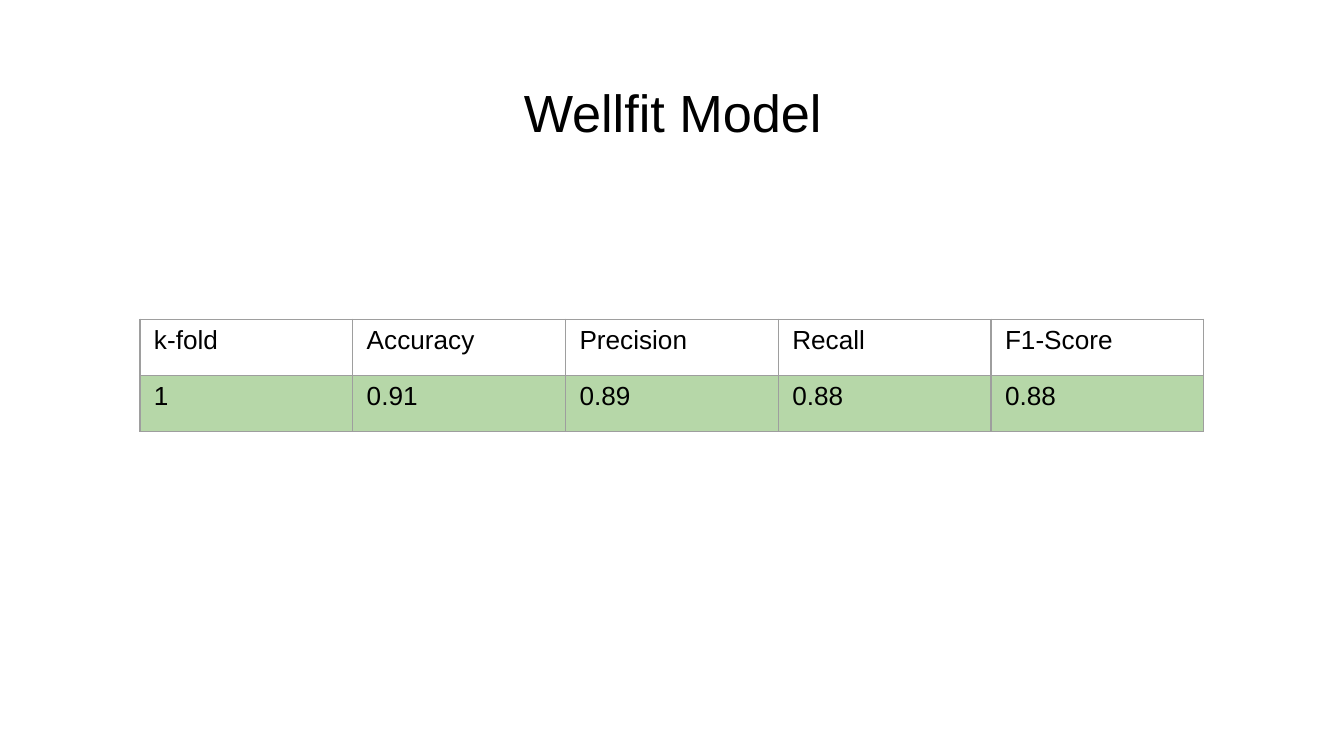
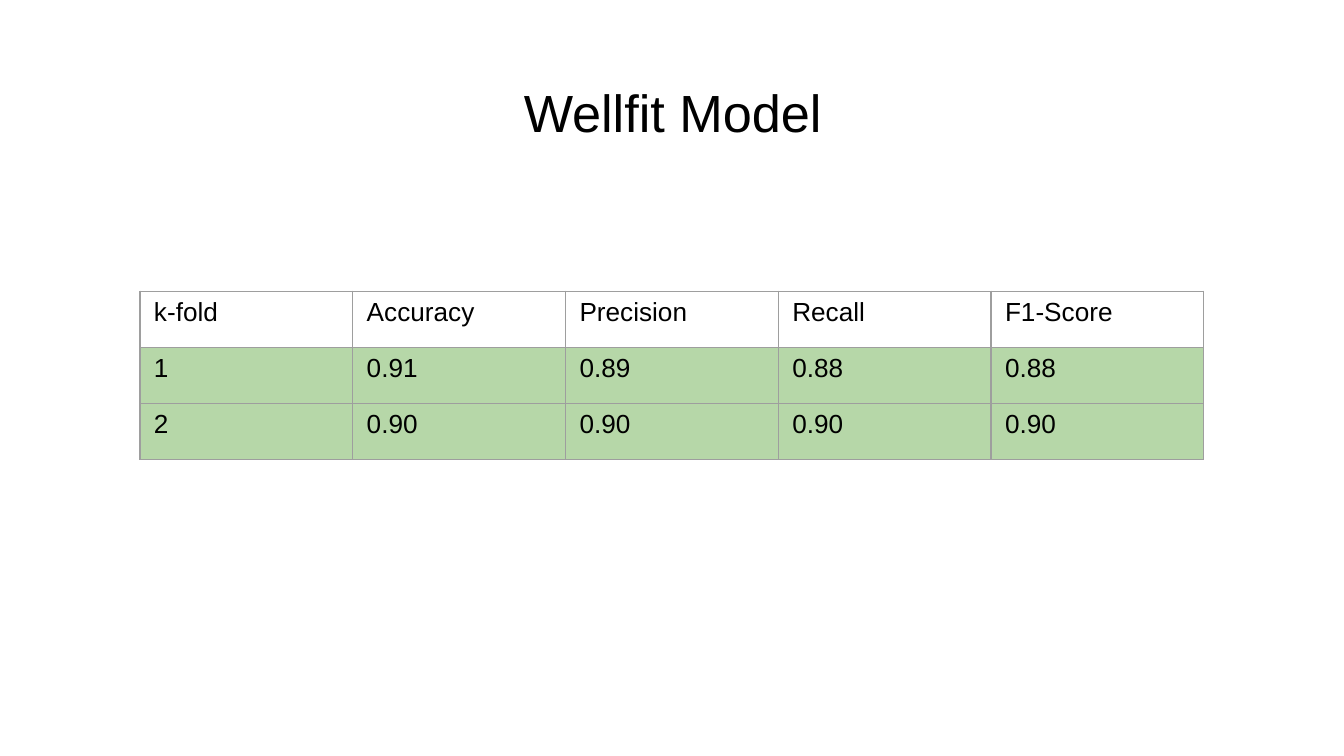
from dataclasses import dataclass

from lxml import etree
from pptx import Presentation
from pptx.dml.color import RGBColor
from pptx.enum.text import MSO_ANCHOR, MSO_AUTO_SIZE, PP_ALIGN
from pptx.oxml.ns import qn
from pptx.util import Pt

LEFT, CENTER = PP_ALIGN.LEFT, PP_ALIGN.CENTER
TOP = MSO_ANCHOR.TOP
NO_AUTOFIT = MSO_AUTO_SIZE.NONE
TITLE_ONLY = 5
PX = 9525  # EMU per px, 96 px to the inch


@dataclass(frozen=True)
class Theme:
    font: str = "Arial"
    text: str = "000000"
    background: str = "FFFFFF"
    border: str = "9E9E9E"
    score_fill: str = "B6D7A8"
    title_size: int = 28
    table_size: int = 14
    border_width: float = 0.75


@dataclass(frozen=True)
class Box:
    left: int
    top: int
    width: int
    height: int


@dataclass(frozen=True)
class ScoreSlide:
    title: str
    folds: tuple


THEME = Theme()

# Layout in px
SLIDE_WIDTH, SLIDE_HEIGHT = 960, 540
TITLE_BOX = Box(33, 47, 895, 60)
COLUMN_WIDTH, ROW_HEIGHT = 152, 40
TABLE_MIDDLE = 268
MARGIN, CELL_MARGIN_Y = 10, 5

# Content
HEADINGS = ("k-fold", "Accuracy", "Precision", "Recall", "F1-Score")
FOLDS = (
    ("1", "0.91", "0.89", "0.88", "0.88"),
    ("2", "0.90", "0.90", "0.90", "0.90"),
)
SLIDES = [ScoreSlide("Wellfit Model", FOLDS[:count]) for count in (1, 2)]


def px(length: int) -> int:
    return length * PX


def write_text(frame, text: str, *, size: int, align=LEFT, color: str = THEME.text) -> None:
    paragraph = frame.paragraphs[0]
    paragraph.alignment = align
    run = paragraph.add_run()
    run.text = text
    run.font.name = THEME.font
    run.font.size = Pt(size)
    run.font.bold = False
    run.font.color.rgb = RGBColor.from_string(color)


def set_margins(target, horizontal: int, vertical: int) -> None:
    target.margin_left = target.margin_right = px(horizontal)
    target.margin_top = target.margin_bottom = px(vertical)


def add_title(slide, text: str) -> None:
    title = slide.shapes.title
    title.left, title.top = px(TITLE_BOX.left), px(TITLE_BOX.top)
    title.width, title.height = px(TITLE_BOX.width), px(TITLE_BOX.height)
    frame = title.text_frame
    frame.word_wrap = True
    frame.auto_size = NO_AUTOFIT
    frame.vertical_anchor = TOP
    set_margins(frame, MARGIN, MARGIN)
    write_text(frame, text, size=THEME.title_size, align=CENTER)


def add_borders(cell) -> None:
    properties = cell._tc.get_or_add_tcPr()
    for side in ("a:lnL", "a:lnR", "a:lnT", "a:lnB"):
        line = etree.SubElement(properties, qn(side), w=str(Pt(THEME.border_width)))
        fill = etree.SubElement(line, qn("a:solidFill"))
        etree.SubElement(fill, qn("a:srgbClr"), val=THEME.border)


def format_cell(cell, text: str, is_heading: bool) -> None:
    set_margins(cell, MARGIN, CELL_MARGIN_Y)
    cell.vertical_anchor = TOP
    add_borders(cell)
    if is_heading:
        cell.fill.background()
    else:
        cell.fill.solid()
        cell.fill.fore_color.rgb = RGBColor.from_string(THEME.score_fill)
    write_text(cell.text_frame, text, size=THEME.table_size)


def add_score_table(slide, folds: tuple) -> None:
    rows = (HEADINGS, *folds)
    width, height = COLUMN_WIDTH * len(HEADINGS), ROW_HEIGHT * len(rows)
    # Centred on the slide's width and on a shared middle line
    left, top = (SLIDE_WIDTH - width) // 2, TABLE_MIDDLE - height // 2
    scores = slide.shapes.add_table(
        len(rows), len(HEADINGS), px(left), px(top), px(width), px(height)
    ).table
    scores.first_row = scores.horz_banding = False
    for row_index, values in enumerate(rows):
        for column_index, value in enumerate(values):
            format_cell(scores.cell(row_index, column_index), value, row_index == 0)


def add_score_slide(presentation, content: ScoreSlide) -> None:
    slide = presentation.slides.add_slide(presentation.slide_layouts[TITLE_ONLY])
    add_title(slide, content.title)
    add_score_table(slide, content.folds)


def main() -> None:
    presentation = Presentation()
    presentation.slide_width = px(SLIDE_WIDTH)
    presentation.slide_height = px(SLIDE_HEIGHT)
    # Shared background
    background = presentation.slide_master.background.fill
    background.solid()
    background.fore_color.rgb = RGBColor.from_string(THEME.background)
    for content in SLIDES:
        add_score_slide(presentation, content)
    presentation.save("out.pptx")


if __name__ == "__main__":
    main()
